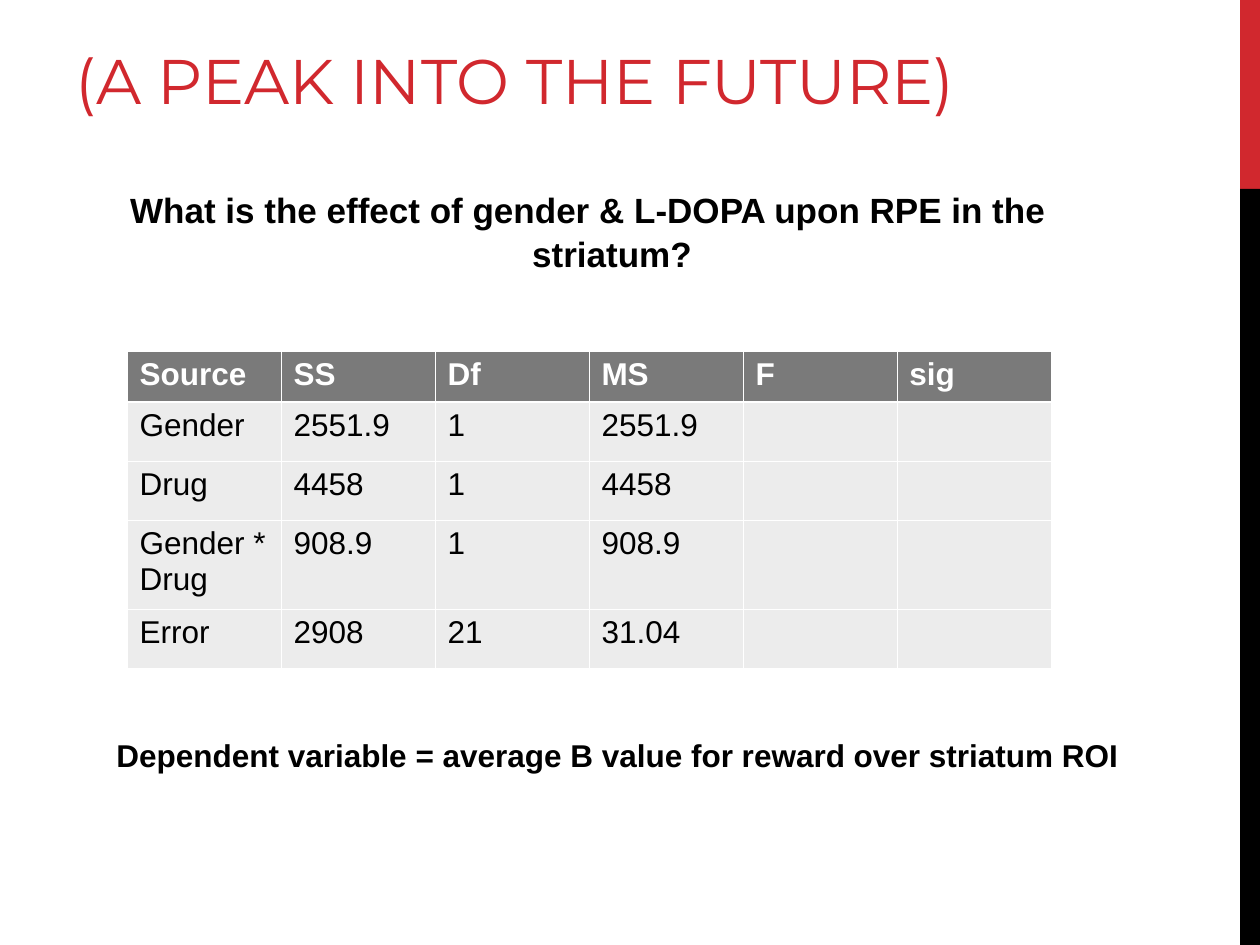
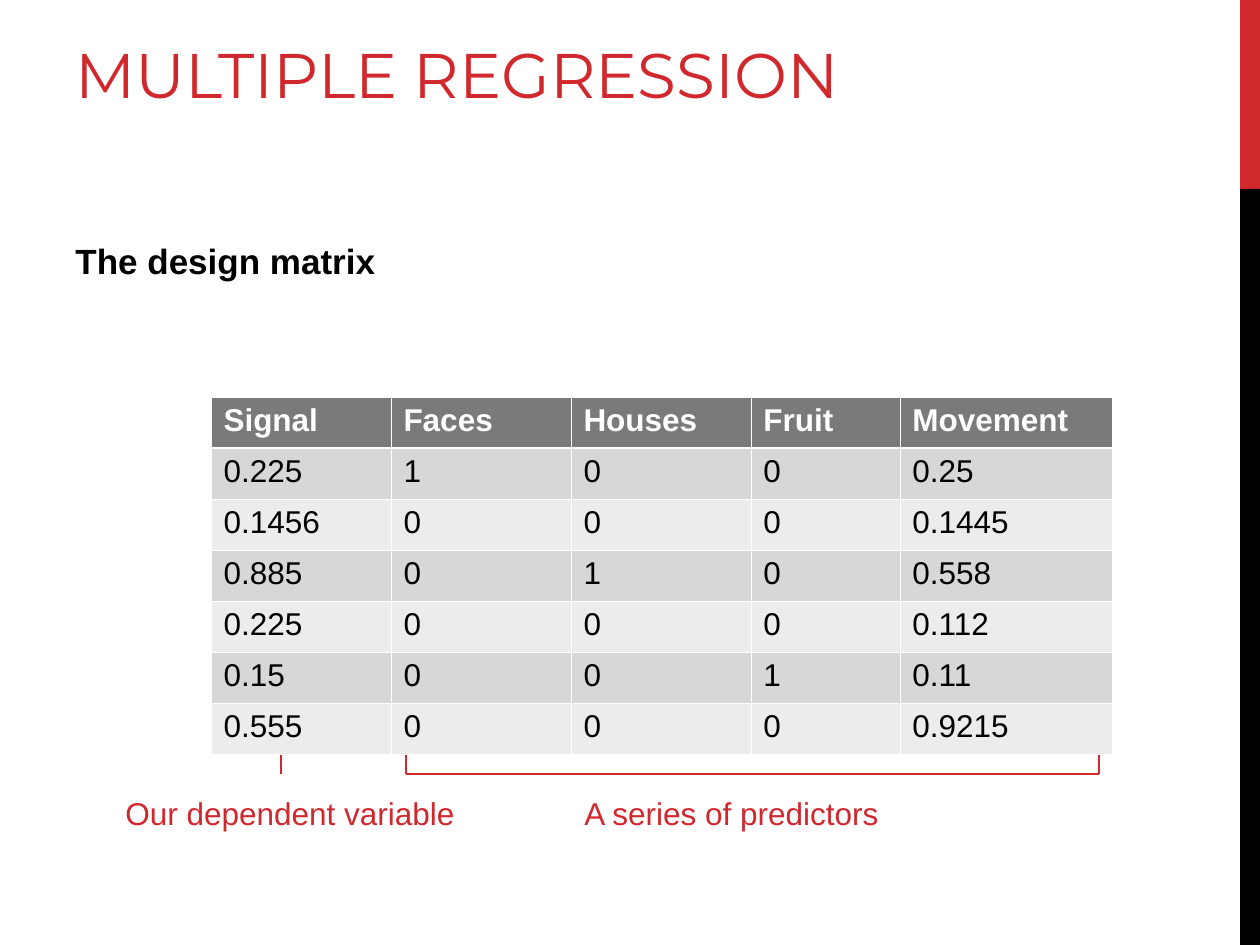
from lxml import etree
from pptx import Presentation
from pptx.dml.color import RGBColor
from pptx.enum.shapes import MSO_CONNECTOR, MSO_SHAPE
from pptx.enum.text import MSO_ANCHOR, PP_ALIGN
from pptx.oxml.ns import qn
from pptx.util import Pt

PX = 914400 / 126
WIDTH, HEIGHT = 1260, 945
BAND_LEFT, BAND_SPLIT = 1240, 189
INDENT = 48

RED = RGBColor(0xD1, 0x28, 0x2E)
BLACK = RGBColor(0, 0, 0)
WHITE = RGBColor(0xFF, 0xFF, 0xFF)
HEADER_GREY = RGBColor(0x7A, 0x7A, 0x7A)
DARK_ROW = RGBColor(0xD7, 0xD7, 0xD7)
LIGHT_ROW = RGBColor(0xEC, 0xEC, 0xEC)

RECTANGLE = MSO_SHAPE.RECTANGLE
STRAIGHT = MSO_CONNECTOR.STRAIGHT
LEFT, CENTER = PP_ALIGN.LEFT, PP_ALIGN.CENTER
TOP, BOTTOM = MSO_ANCHOR.TOP, MSO_ANCHOR.BOTTOM

TITLE = {"name": "Montserrat", "size": Pt(36), "color": RED}
QUESTION = {"name": "Arial", "size": Pt(20), "bold": True, "color": BLACK}
NOTE = {"name": "Arial", "size": Pt(18), "bold": True, "color": BLACK}
LABEL = {"name": "Arial", "size": Pt(18), "color": RED}
HEADER_CELL = {"name": "Arial", "size": Pt(18), "bold": True, "color": WHITE}
BODY_CELL = {"name": "Arial", "size": Pt(18), "bold": False, "color": BLACK}
QUESTION_SPACING = {"space_before": Pt(5), "space_after": Pt(6), "line_spacing": 1.05}

ANOVA = [
    ["Source", "SS", "Df", "MS", "F", "sig"],
    ["Gender", "2551.9", "1", "2551.9", "", ""],
    ["Drug", "4458", "1", "4458", "", ""],
    ["Gender * Drug", "908.9", "1", "908.9", "", ""],
    ["Error", "2908", "21", "31.04", "", ""],
]
DESIGN_MATRIX = [
    ["Signal", "Faces", "Houses", "Fruit", "Movement"],
    ["0.225", "1", "0", "0", "0.25"],
    ["0.1456", "0", "0", "0", "0.1445"],
    ["0.885", "0", "1", "0", "0.558"],
    ["0.225", "0", "0", "0", "0.112"],
    ["0.15", "0", "0", "1", "0.11"],
    ["0.555", "0", "0", "0", "0.9215"],
]


def emu(*lengths):
    return [round(length * PX) for length in lengths]


def style_font(font, style):
    for name, value in style.items():
        if name == "color":
            font.color.rgb = value
        else:
            setattr(font, name, value)


def add_text(page, text, place, style, align=LEFT, anchor=TOP):
    box = page.shapes.add_textbox(*emu(*place))
    box.text_frame.word_wrap = True
    box.text_frame.vertical_anchor = anchor
    para = box.text_frame.paragraphs[0]
    para.alignment = align
    span = para.add_run()
    span.text = text
    style_font(span.font, style)
    return para


def add_question(page, text, place, align=LEFT):
    para = add_text(page, text, place, QUESTION, align)
    for name, value in QUESTION_SPACING.items():
        setattr(para, name, value)
    margin = emu(INDENT)[0]
    properties = para._p.get_or_add_pPr()
    properties.set("marL", str(margin))
    properties.set("indent", str(-margin))


def add_band(page, top, height, color):
    band = page.shapes.add_shape(
        RECTANGLE, *emu(BAND_LEFT, top, WIDTH - BAND_LEFT, height))
    band.shadow.inherit = False
    band.fill.solid()
    band.fill.fore_color.rgb = color
    band.line.fill.background()


def add_page(deck, title, title_height):
    page = deck.slides.add_slide(deck.slide_layouts[6])
    add_band(page, 0, BAND_SPLIT, RED)
    add_band(page, BAND_SPLIT, HEIGHT - BAND_SPLIT, BLACK)
    add_text(page, title, (63, 21, 1080, title_height), TITLE, anchor=BOTTOM)
    return page


def add_border(cell, side, points):
    line = etree.SubElement(cell._tc.get_or_add_tcPr(), qn(f"a:ln{side}"), w=str(Pt(points)))
    fill = etree.SubElement(line, qn("a:solidFill"))
    etree.SubElement(fill, qn("a:srgbClr"), val=str(WHITE))


def add_grid(page, rows, left, top, widths, heights, row_fills):
    frame = page.shapes.add_table(
        len(rows), len(widths), *emu(left, top, sum(widths), sum(heights)))
    table = frame.table
    table.horz_banding = False
    for column, width in zip(table.columns, emu(*widths)):
        column.width = width
    for row, height in zip(table.rows, emu(*heights)):
        row.height = height
    for row_index, values in enumerate(rows):
        header = row_index == 0
        for column_index, value in enumerate(values):
            cell = table.cell(row_index, column_index)
            borders = {"L": 0.45, "R": 0.45,
                       "T": 1.47 if row_index == 1 else 0.45,
                       "B": 1.47 if header else 0.45}
            for side, points in borders.items():
                add_border(cell, side, points)
            cell.fill.solid()
            cell.fill.fore_color.rgb = (
                HEADER_GREY if header else row_fills[(row_index - 1) % len(row_fills)])
            if value:
                span = cell.text_frame.paragraphs[0].add_run()
                span.text = value
                style_font(span.font, HEADER_CELL if header else BODY_CELL)


def add_line(page, *ends):
    line = page.shapes.add_connector(STRAIGHT, *emu(*ends))
    line.line.color.rgb = RED
    line.line.width = Pt(1)
    etree.SubElement(line._element.spPr, qn("a:effectLst"))


def build_future_page(deck):
    page = add_page(deck, "(A PEAK INTO THE FUTURE)", 102)
    add_question(page, "What is the effect of gender & L-DOPA upon RPE in the striatum?",
                 (63, 180, 1050, 108), CENTER)
    add_grid(page, ANOVA, 127, 351, [154] * 6, [51, 59, 59, 89, 59], [LIGHT_ROW])
    add_text(page, "Dependent variable = average B value for reward over striatum ROI",
             (104, 730, 1053, 50), NOTE)


def build_regression_page(deck):
    page = add_page(deck, "MULTIPLE REGRESSION", 96)
    add_question(page, "The design matrix", (63, 231, 1050, 67))
    add_text(page, "Our dependent variable", (113, 788, 394, 50), LABEL)
    add_text(page, "A series of predictors", (572, 788, 662, 50), LABEL)
    tick_top, bracket_y = 755, 774
    signal_x, first_x, last_x = 281, 406, 1099
    add_line(page, first_x, bracket_y, last_x, bracket_y)
    for tick_x in (first_x, last_x, signal_x):
        add_line(page, tick_x, tick_top, tick_x, bracket_y)
    add_grid(page, DESIGN_MATRIX, 211, 397, [180, 180, 180, 149, 213], [51] * 7,
             [DARK_ROW, LIGHT_ROW])


def main():
    deck = Presentation()
    deck.slide_width, deck.slide_height = emu(WIDTH, HEIGHT)
    build_future_page(deck)
    build_regression_page(deck)
    deck.save("out.pptx")


if __name__ == "__main__":
    main()
